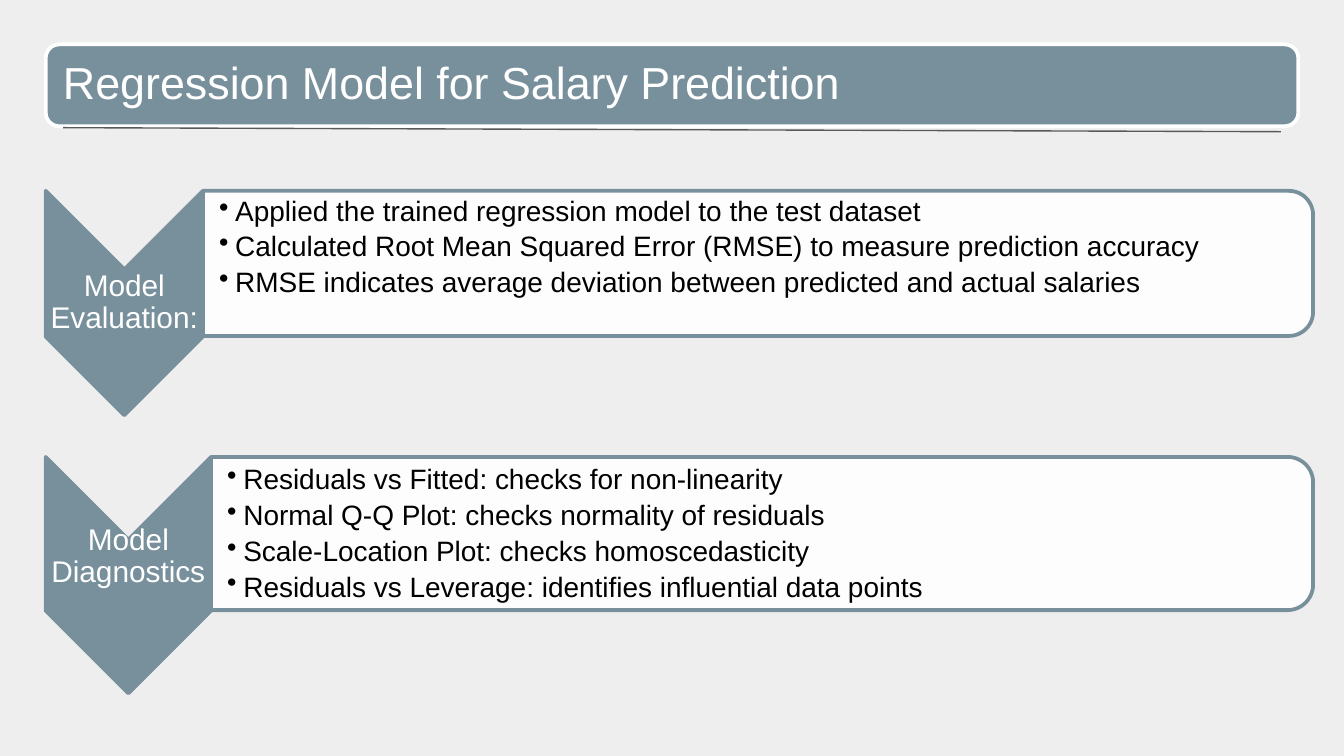
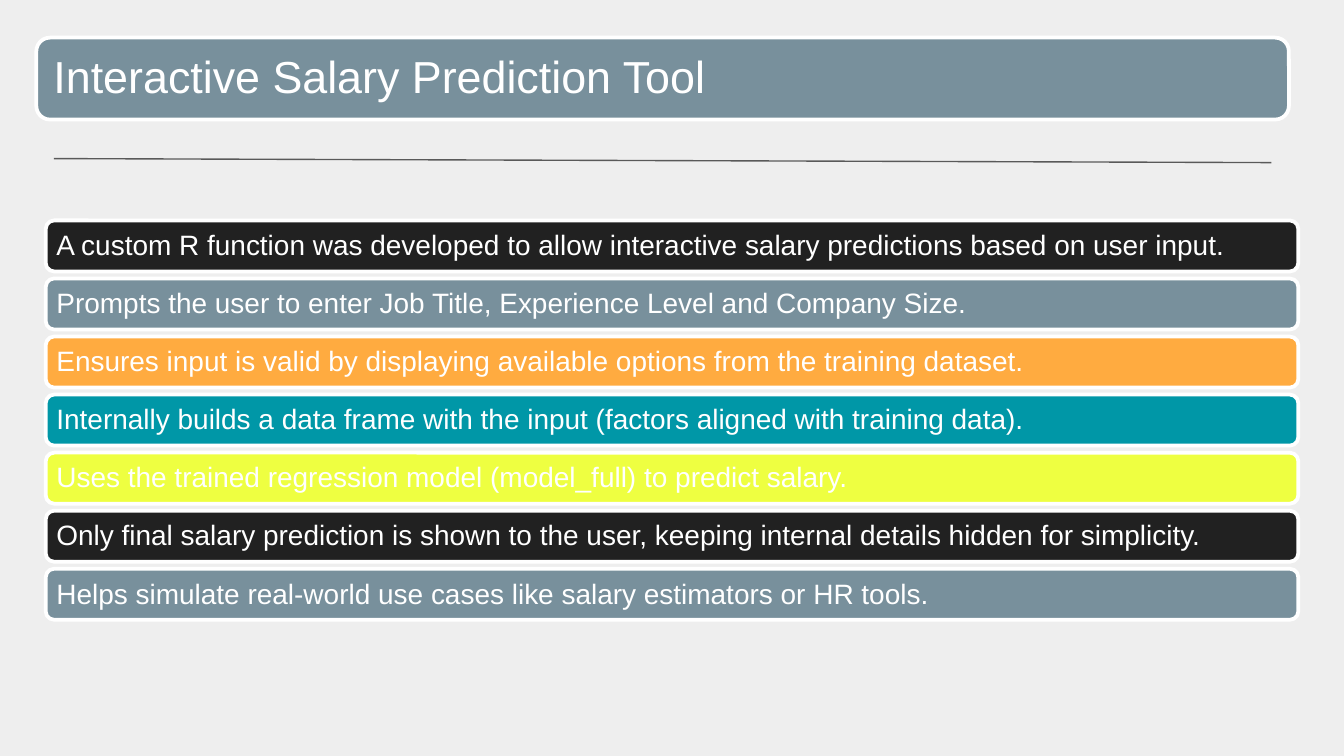
from lxml import etree
from pptx import Presentation, util as u
from pptx.dml.color import RGBColor
from pptx.enum import shapes, text
from pptx.oxml.ns import qn

SLATE, WHITE, BLACK = "78909C", "FFFFFF", "000000"
KIND = shapes.MSO_SHAPE
LEFT, RIGHT = 0.34, 9.77


def paint(color, value):
    color.rgb = RGBColor.from_string(value)


def draw(slide, kind, x, y, w, h, fill, edge, turn=False):
    """Add a shape that shows in the given frame, turned by 90 degrees if asked."""
    if turn:
        x, y, w, h = x + (w - h) / 2, y + (h - w) / 2, h, w
    shape = slide.shapes.add_shape(kind, *map(u.Inches, (x, y, w, h)))
    shape.rotation = 90 if turn else 0
    shape.shadow.inherit = False
    shape.fill.solid()
    paint(shape.fill.fore_color, fill)
    paint(shape.line.color, edge)
    shape.line.width = u.Pt(2)
    return shape


def write(slide, lines, x, y, w, h, size, color=WHITE, inset=0.01, left=None,
          foot=None, center=False, bullet=False):
    box = slide.shapes.add_textbox(*map(u.Inches, (x, y, w, h)))
    frame = box.text_frame
    frame.word_wrap = True
    frame.vertical_anchor = text.MSO_ANCHOR.MIDDLE
    frame.margin_top = frame.margin_right = u.Inches(inset)
    frame.margin_left = u.Inches(left or inset)
    frame.margin_bottom = u.Inches(foot or inset)
    frame.text = "\n".join(lines)
    for para in frame.paragraphs:
        para.line_spacing = 0.9
        para.alignment = text.PP_ALIGN.CENTER if center else text.PP_ALIGN.LEFT
        if bullet:
            para.level = 1
            para.space_after = u.Pt(3)
            props = para._p.get_or_add_pPr()
            props.set("marL", str(u.Inches(0.12)))
            props.set("indent", str(-u.Inches(0.12)))
            etree.SubElement(props, qn("a:buChar"), char="•")
        for run in para.runs:
            run.font.name = "Arial"
            run.font.size = u.Pt(size)
            paint(run.font.color, color)


deck = Presentation()
deck.slide_width, deck.slide_height = u.Inches(10), u.Inches(5.625)

# Title band and rule on each slide: title, left, top, top of the rule
heads = [
    ("Regression Model for Salary Prediction", 0.34, 0.33, 0.95),
    ("Interactive Salary Prediction Tool", 0.27, 0.28, 1.18),
]
for title, x, y, rule in heads:
    slide = deck.slides.add_slide(deck.slide_layouts[6])
    slide.background.fill.solid()
    paint(slide.background.fill.fore_color, "EEEEEE")
    draw(slide, KIND.ROUNDED_RECTANGLE, x, y, 9.32, 0.61, SLATE, WHITE)
    write(slide, [title], x + 0.03, y + 0.03, 9.26, 0.55, 24, inset=0.1)
    line = slide.shapes.add_connector(
        shapes.MSO_CONNECTOR.STRAIGHT,
        *map(u.Inches, (x + 0.13, rule, x + 9.19, rule + 0.03)))
    paint(line.line.color, "595959")
    line.line.width = u.Pt(0.75)
    etree.SubElement(line._element.spPr, qn("a:effectLst"))

model, tool = deck.slides

# Steps: label, top, arrow width and height, pane height, bottom insets, points
steps = [
    ("Model Evaluation:", 1.42, 1.17, 1.67, 1.08, 0.01, 0.25, [
        "Applied the trained regression model to the test dataset",
        "Calculated Root Mean Squared Error (RMSE) to measure prediction accuracy",
        "RMSE indicates average deviation between predicted and actual salaries"]),
    ("Model Diagnostics", 3.4, 1.23, 1.76, 1.14, 0.28, 0.01, [
        "Residuals vs Fitted: checks for non-linearity",
        "Normal Q-Q Plot: checks normality of residuals",
        "Scale-Location Plot: checks homoscedasticity",
        "Residuals vs Leverage: identifies influential data points"]),
]
for label, top, wide, tall, high, rise, foot, points in steps:
    draw(model, KIND.CHEVRON, LEFT, top, wide, tall, SLATE, SLATE, turn=True)
    write(model, [label], LEFT, top + wide / 2, wide, tall - wide, 16,
          foot=rise, center=True)
    x = LEFT + wide
    pane = draw(model, KIND.ROUND_2_SAME_RECTANGLE, x, top, RIGHT - x, high,
                WHITE, SLATE, turn=True)
    tint = pane._element.spPr.find(qn("a:solidFill"))[0]
    etree.SubElement(tint, qn("a:alpha"), val="90000")
    write(model, points, x, top + 0.06, RIGHT - x - 0.05, high - 0.11, 15,
          BLACK, left=0.12, foot=foot, bullet=True)

bars = [
    ("212121", "A custom R function was developed to allow interactive salary predictions based on user input."),
    (SLATE, "Prompts the user to enter Job Title, Experience Level and Company Size."),
    ("FFAB40", "Ensures input is valid by displaying available options from the training dataset."),
    ("0097A7", "Internally builds a data frame with the input (factors aligned with training data)."),
    ("EEFF41", "Uses the trained regression model (model_full) to predict salary."),
    ("212121", "Only final salary prediction is shown to the user, keeping internal details hidden for simplicity."),
    (SLATE, "Helps simulate real-world use cases like salary estimators or HR tools."),
]
for i, (fill, words) in enumerate(bars):
    y = 1.64 + 0.432 * i
    draw(tool, KIND.ROUNDED_RECTANGLE, LEFT, y, 9.32, 0.38, fill, WHITE)
    write(tool, [words], LEFT + 0.02, y + 0.02, 9.28, 0.35, 15, inset=0.06)

deck.save("out.pptx")
